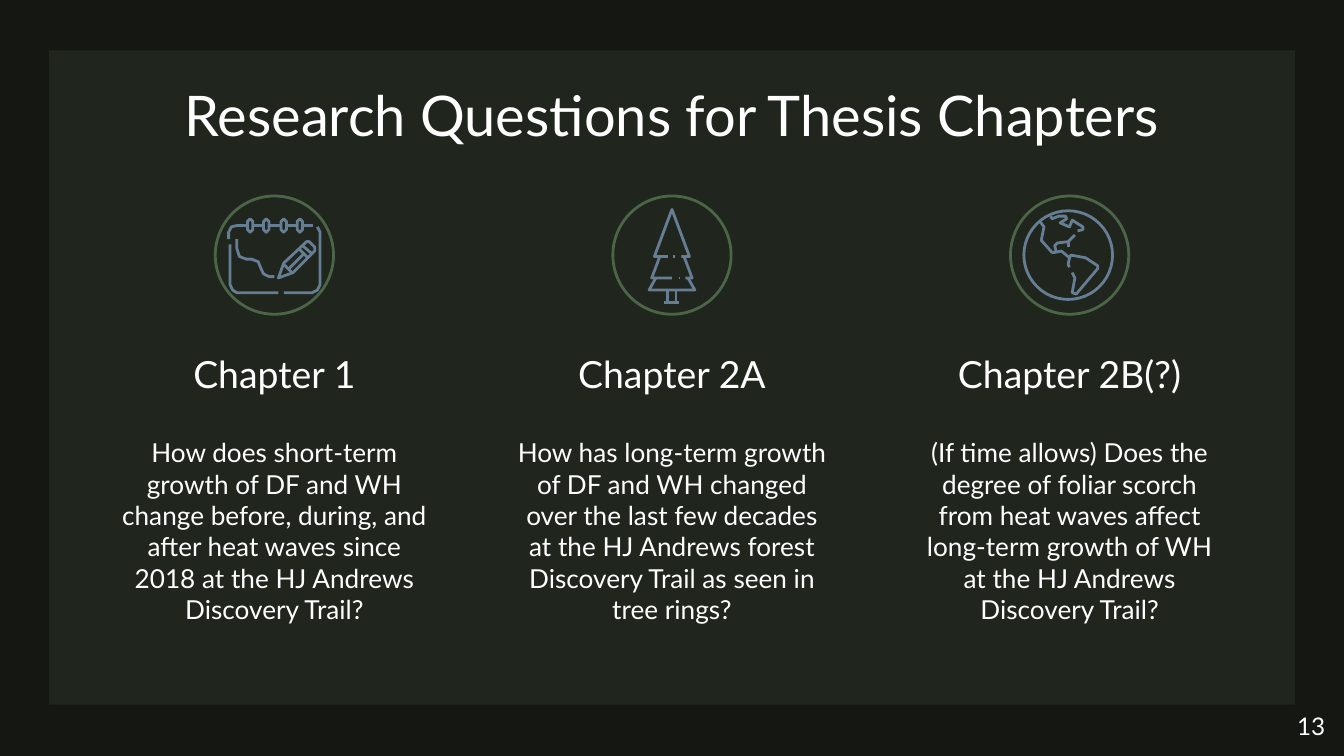
import pptx
import pptx.util
import pptx.dml.color
import pptx.enum.shapes
import pptx.enum.text

Pt = pptx.util.Pt
RGBColor = pptx.dml.color.RGBColor
SHAPE = pptx.enum.shapes.MSO_SHAPE
ALIGN = pptx.enum.text.PP_ALIGN
ANCHOR = pptx.enum.text.MSO_ANCHOR

BACKGROUND = RGBColor(0x14, 0x17, 0x12)
PANEL = RGBColor(0x20, 0x25, 0x1E)
WHITE = RGBColor(0xFF, 0xFF, 0xFF)
GREEN = RGBColor(0x4C, 0x64, 0x48)
BLUE = RGBColor(0x65, 0x7E, 0x93)

FONT = "Lato"
WIDTH, HEIGHT = 720, 405
COLUMN_STEP = 213
TEXT_WIDTH = 182
RING_TOP, RING_SIZE = 105, 63.36
UNIT = 0.72  # icon grid: 88 units across a ring

# Each icon is a list of parts; each part is a list of strokes on the icon grid.
CALENDAR_RINGS = [
    [(x - 2, 19), (x, 17), (x + 2, 19), (x + 2, 25), (x, 27), (x - 2, 25), (x - 2, 19)]
    for x in (26, 38, 51, 63)
]
CALENDAR_TOP = [[(10, 32), (10, 27), (12, 23), (16, 22), (24, 22)]] + [
    [(x, 22), (x + 8, 22)] for x in (28, 40, 53, 65)
]
CALENDAR = [
    [[(76, 23), (78, 27), (78, 66), (76, 70), (72, 72), (51, 72)]],
    [[(11, 36), (11, 66), (13, 70), (16, 72), (47, 72)]],
    CALENDAR_TOP + CALENDAR_RINGS,
    # Growth curve
    [[(16, 32), (16, 39), (18, 45), (23, 47), (27, 47), (32, 49), (34, 54),
      (36, 58), (40, 60), (44, 60)]],
    # Pencil
    [[(47, 61), (51, 50), (68, 34), (70, 34), (74, 38), (74, 41), (58, 57), (47, 61)],
     [(62, 39), (69, 46)], [(65, 37), (72, 43)], [(55, 54), (66, 43)],
     [(51, 51), (57, 57)]],
]
TREE = [
    [[(41, 45), (31, 45), (44, 10), (57, 45), (51, 45)],
     [(35, 45), (29, 61), (44, 61)], [(53, 45), (59, 61), (54, 61)],
     [(32, 61), (27, 70), (61, 70), (56, 61)],
     [(41, 70), (41, 79)], [(47, 70), (47, 79)], [(38, 79), (49, 79)],
     [(45, 45), (46, 45)], [(49, 61), (50, 61)]],
]
CONTINENTS = [
    [[(22, 19), (25, 23), (23, 33), (31, 42), (33, 42), (38, 41), (44, 46),
      (43, 51), (44, 53)],
     [(34, 41), (33, 37), (35, 35), (43, 34), (48, 29)], [(43, 34), (43, 38)],
     [(30, 15), (31, 17), (36, 15), (41, 15), (42, 17), (37, 20), (44, 23),
      (46, 18), (54, 23), (54, 25), (50, 26)],
     [(44, 46), (45, 44), (56, 46), (65, 52), (65, 54), (49, 73), (46, 72),
      (48, 61), (46, 57)]],
]

CHAPTERS = [
    ("Chapter 1", CALENDAR,
     "How does short-term growth of DF and WH change before, during, and after "
     "heat waves since 2018 at the HJ Andrews Discovery Trail?"),
    ("Chapter 2A", TREE,
     "How has long-term growth of DF and WH changed over the last few decades "
     "at the HJ Andrews forest Discovery Trail as seen in tree rings?"),
    ("Chapter 2B(?)", CONTINENTS,
     "(If time allows) Does the degree of foliar scorch from heat waves affect "
     "long-term growth of WH at the HJ Andrews Discovery Trail?"),
]


def place(sp, left, top, width, height):
    sp.left, sp.top, sp.width, sp.height = Pt(left), Pt(top), Pt(width), Pt(height)


def write(sp, text, size, align=ALIGN.CENTER, anchor=ANCHOR.TOP):
    tf = sp.text_frame
    tf.text = text
    tf.word_wrap = True
    tf.auto_size = pptx.enum.text.MSO_AUTO_SIZE.NONE
    tf.vertical_anchor = anchor
    tf.margin_left = tf.margin_right = tf.margin_top = tf.margin_bottom = Pt(7.2)
    p = tf.paragraphs[0]
    p.alignment = align
    p.font.name, p.font.size, p.font.color.rgb = FONT, Pt(size), WHITE


def add_text(s, box, text, size, **layout):
    sp = s.shapes.add_textbox(*map(Pt, box))
    write(sp, text, size, **layout)


def outline(sp, color):
    sp.shadow.inherit = False
    sp.fill.background()
    sp.line.color.rgb = color
    sp.line.width = Pt(1.5)


def add_circle(s, left, top, size, color):
    sp = s.shapes.add_shape(SHAPE.OVAL, Pt(left), Pt(top), Pt(size), Pt(size))
    outline(sp, color)


def add_icon(s, left, top, parts):
    for strokes in parts:
        fb = s.shapes.build_freeform(*strokes[0][0], scale=Pt(UNIT))
        for stroke in strokes:
            fb.move_to(*stroke[0])
            fb.add_line_segments(stroke[1:], close=False)
        outline(fb.convert_to_shape(Pt(left), Pt(top)), BLUE)


def add_chapter(s, center, heading, icon, question):
    left = center - TEXT_WIDTH / 2
    add_text(s, (left, 226.8, TEXT_WIDTH, 134.6), question, 14)
    add_text(s, (left, 178.6, TEXT_WIDTH, 41), heading, 20, anchor=ANCHOR.BOTTOM)
    ring_left = center - RING_SIZE / 2
    add_circle(s, ring_left, RING_TOP, RING_SIZE, GREEN)
    if icon is CONTINENTS:
        add_circle(s, ring_left + 10 * UNIT, RING_TOP + 11 * UNIT, 66 * UNIT, BLUE)
    add_icon(s, ring_left, RING_TOP, icon)


def main():
    prs = pptx.Presentation()
    prs.slide_width, prs.slide_height = Pt(WIDTH), Pt(HEIGHT)
    s = prs.slides.add_slide(prs.slide_layouts[5])

    # Background and panel
    s.background.fill.solid()
    s.background.fill.fore_color.rgb = BACKGROUND
    panel = s.shapes.add_shape(SHAPE.RECTANGLE, Pt(26.4), Pt(27), Pt(667.4), Pt(350.6))
    panel.shadow.inherit = False
    panel.fill.solid()
    panel.fill.fore_color.rgb = PANEL
    panel.line.fill.background()

    # Title, drawn above the panel
    title = s.shapes.title
    panel.element.addnext(title.element)
    place(title, 64, 36, 592, 45.4)
    write(title, "Research Questions for Thesis Chapters", 30)

    # Chapter columns
    for i, chapter in enumerate(CHAPTERS):
        add_chapter(s, WIDTH / 2 + (i - 1) * COLUMN_STEP, *chapter)

    # Page number
    add_text(s, (674, 374, 43, 31), "13", 13, align=ALIGN.RIGHT)

    prs.save("out.pptx")


if __name__ == "__main__":
    main()
